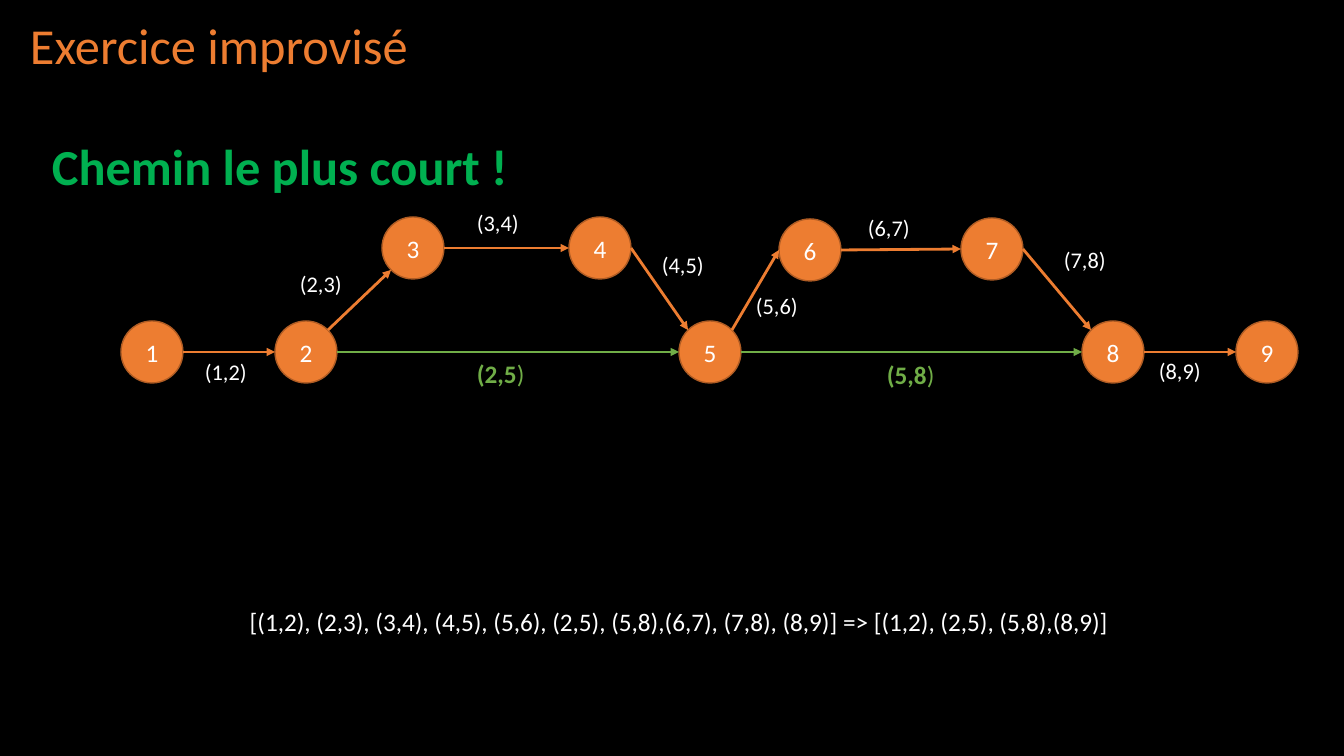
import math

from lxml import etree
from pptx import Presentation
from pptx.dml.color import RGBColor
from pptx.enum.shapes import MSO_CONNECTOR, MSO_SHAPE
from pptx.enum.text import MSO_ANCHOR, PP_ALIGN
from pptx.oxml.ns import qn
from pptx.util import Emu, Pt

OVAL = MSO_SHAPE.OVAL
STRAIGHT = MSO_CONNECTOR.STRAIGHT
TOP, MIDDLE = MSO_ANCHOR.TOP, MSO_ANCHOR.MIDDLE
LEFT, CENTER = PP_ALIGN.LEFT, PP_ALIGN.CENTER

EMU_PER_PX = 12192000 / 1344
DIAMETER = 62
BLACK, WHITE = "000000", "FFFFFF"
ORANGE, DARK_ORANGE = "ED7D31", "AF5C24"
GREEN, BRIGHT_GREEN = "70AD47", "00B050"

# Connection sites of an ellipse, counted anticlockwise from the top
TOP_LEFT, WEST, BOTTOM_LEFT, EAST, TOP_RIGHT = 1, 2, 3, 6, 7

# Centre of each numbered node
NODES = {
    1: (152, 352), 2: (306, 352), 3: (413, 248),
    4: (600, 248), 5: (710, 352), 6: (810, 250),
    7: (992, 249), 8: (1113, 352), 9: (1267, 352),
}

# Start node, end node, start site, end site, label left, label top
EDGES = [
    (1, 2, EAST, WEST, 195, 353),
    (2, 3, TOP_RIGHT, BOTTOM_LEFT, 290, 265),
    (3, 4, EAST, WEST, 467, 204),
    (4, 5, EAST, TOP_LEFT, 652, 246),
    (5, 6, TOP_RIGHT, WEST, 746, 287),
    (6, 7, EAST, WEST, 858, 209),
    (7, 8, EAST, TOP_LEFT, 1054, 241),
    (8, 9, EAST, WEST, 1149, 352),
]
SHORTCUTS = [
    (2, 5, EAST, WEST, 467, 353),
    (5, 8, EAST, WEST, 877, 354),
]


def px(length):
    return Emu(round(length * EMU_PER_PX))


def color(hex_value):
    return RGBColor.from_string(hex_value)


def write(frame, runs, align=LEFT, anchor=TOP, spacing=1.0):
    """Fill a frame with one paragraph made of (text, size, colour, bold) runs."""
    frame.word_wrap = True
    frame.vertical_anchor = anchor
    paragraph = frame.paragraphs[0]
    paragraph.alignment = align
    paragraph.line_spacing = spacing
    for text, size, hex_value, bold in runs:
        run = paragraph.add_run()
        run.text = text
        run.font.color.rgb = color(hex_value)
        font_format = {"name": "Calibri", "size": Pt(size), "bold": bold}
        for name, value in font_format.items():
            setattr(run.font, name, value)


def add_text(slide, box, runs, **layout):
    shape = slide.shapes.add_textbox(*map(px, box))
    write(shape.text_frame, runs, **layout)


def add_node(slide, number, center):
    left, top = (value - DIAMETER / 2 for value in center)
    shape = slide.shapes.add_shape(OVAL, *map(px, (left, top, DIAMETER, DIAMETER)))
    shape.shadow.inherit = False
    shape.fill.solid()
    shape.fill.fore_color.rgb = color(ORANGE)
    shape.line.color.rgb = color(DARK_ORANGE)
    shape.line.width = Pt(1)
    write(shape.text_frame, [(str(number), 18, WHITE, False)],
          align=CENTER, anchor=MIDDLE)
    return shape


def site_point(number, site):
    angle = math.radians(90 + 45 * site)
    x, y = NODES[number]
    radius = DIAMETER / 2
    return px(x + radius * math.cos(angle)), px(y - radius * math.sin(angle))


def add_arrow(slide, shapes, start, end, start_site, end_site, hex_value):
    connector = slide.shapes.add_connector(
        STRAIGHT, *site_point(start, start_site), *site_point(end, end_site))
    connector.line.color.rgb = color(hex_value)
    connector.line.width = Pt(2)
    # Arrowhead and no shadow
    line = connector.line._get_or_add_ln()
    etree.SubElement(line, qn("a:tailEnd"), type="triangle")
    etree.SubElement(connector._element.spPr, qn("a:effectLst"))
    # Join to the ellipse sites
    joints = connector._element.find(".//" + qn("p:cNvCxnSpPr"))
    for tag, number, site in (("a:stCxn", start, start_site),
                              ("a:endCxn", end, end_site)):
        etree.SubElement(joints, qn(tag), id=str(shapes[number].shape_id),
                         idx=str(site))


def main():
    presentation = Presentation()
    presentation.slide_width, presentation.slide_height = px(1344), px(756)
    slide = presentation.slides.add_slide(presentation.slide_layouts[6])
    slide.background.fill.solid()
    slide.background.fill.fore_color.rgb = color(BLACK)

    # Headings
    add_text(slide, (20, 10, 1206, 76), [("Exercice improvisé", 36, ORANGE, False)],
             anchor=MIDDLE, spacing=0.9)
    add_text(slide, (42, 137, 1199, 59),
             [("Chemin le plus court !", 36, BRIGHT_GREEN, True)], spacing=0.9)

    # Graph
    shapes = {number: add_node(slide, number, center)
              for number, center in NODES.items()}
    for start, end, start_site, end_site, left, top in EDGES:
        add_arrow(slide, shapes, start, end, start_site, end_site, ORANGE)
        add_text(slide, (left, top, 83, 37),
                 [(f"({start},{end})", 16, WHITE, False)])
    for start, end, start_site, end_site, left, top in SHORTCUTS:
        add_arrow(slide, shapes, start, end, start_site, end_site, GREEN)
        add_text(slide, (left, top, 83, 40),
                 [(f"({start},{end}", 18, GREEN, True), (")", 18, GREEN, False)])

    # Edge lists before and after
    add_text(slide, (21, 601, 1317, 72),
             [("[(1,2), (2,3), (3,4), (4,5), (5,6), (2,5), (5,8),(6,7), (7,8), (8,9)]"
               " => [(1,2), (2,5), (5,8),(8,9)]", 18, WHITE, False)], align=CENTER)

    presentation.save("out.pptx")


if __name__ == "__main__":
    main()
